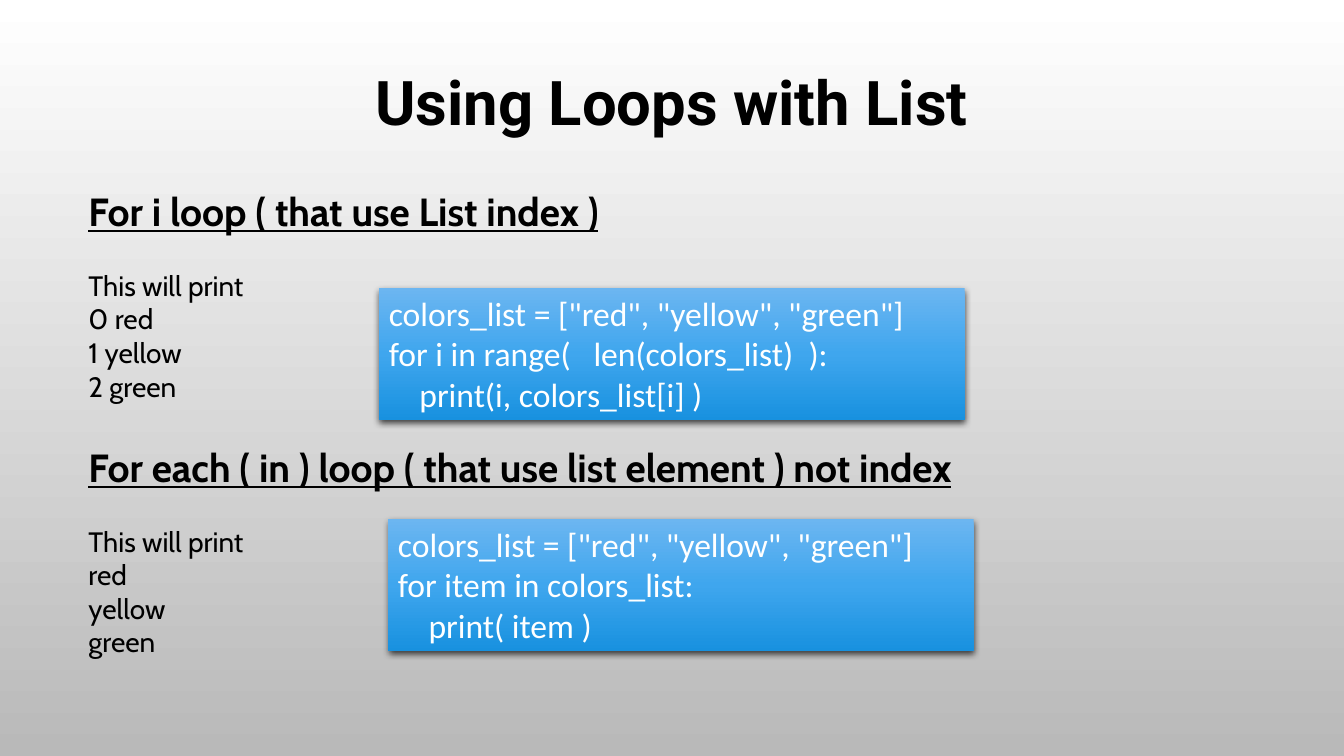
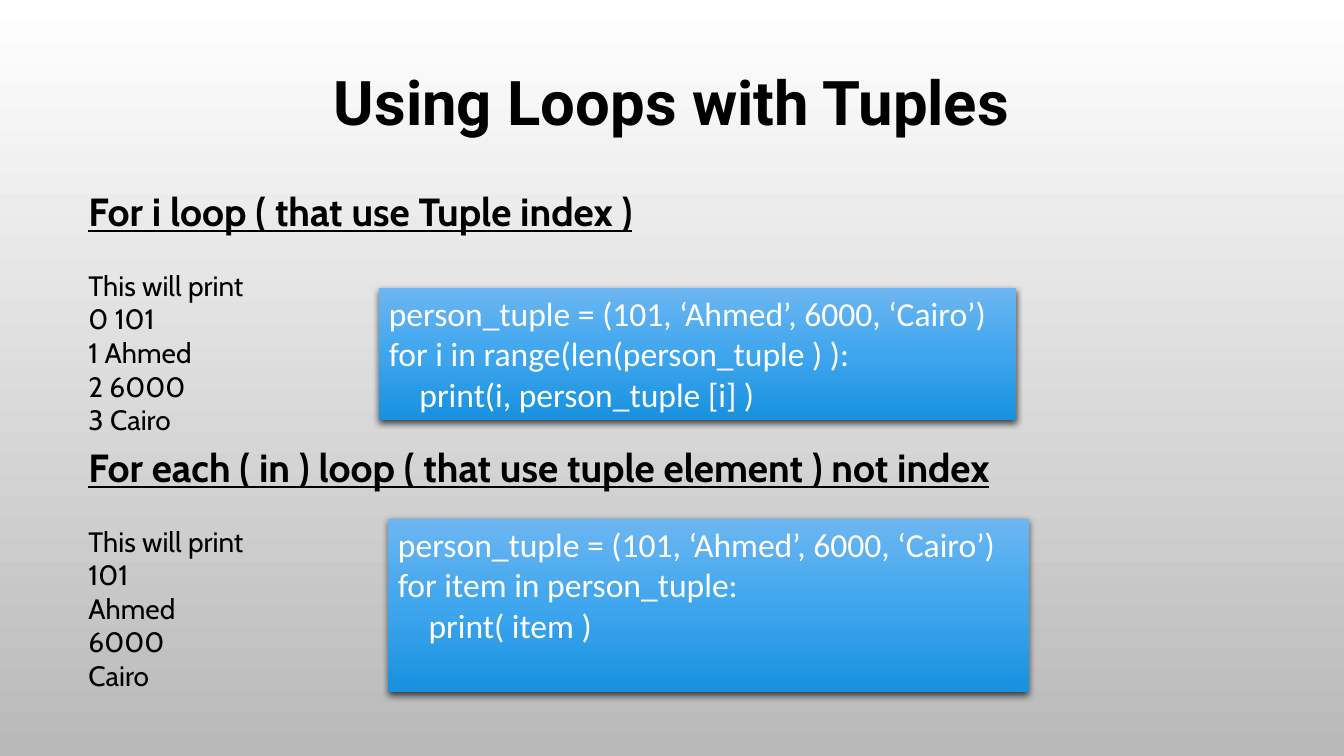
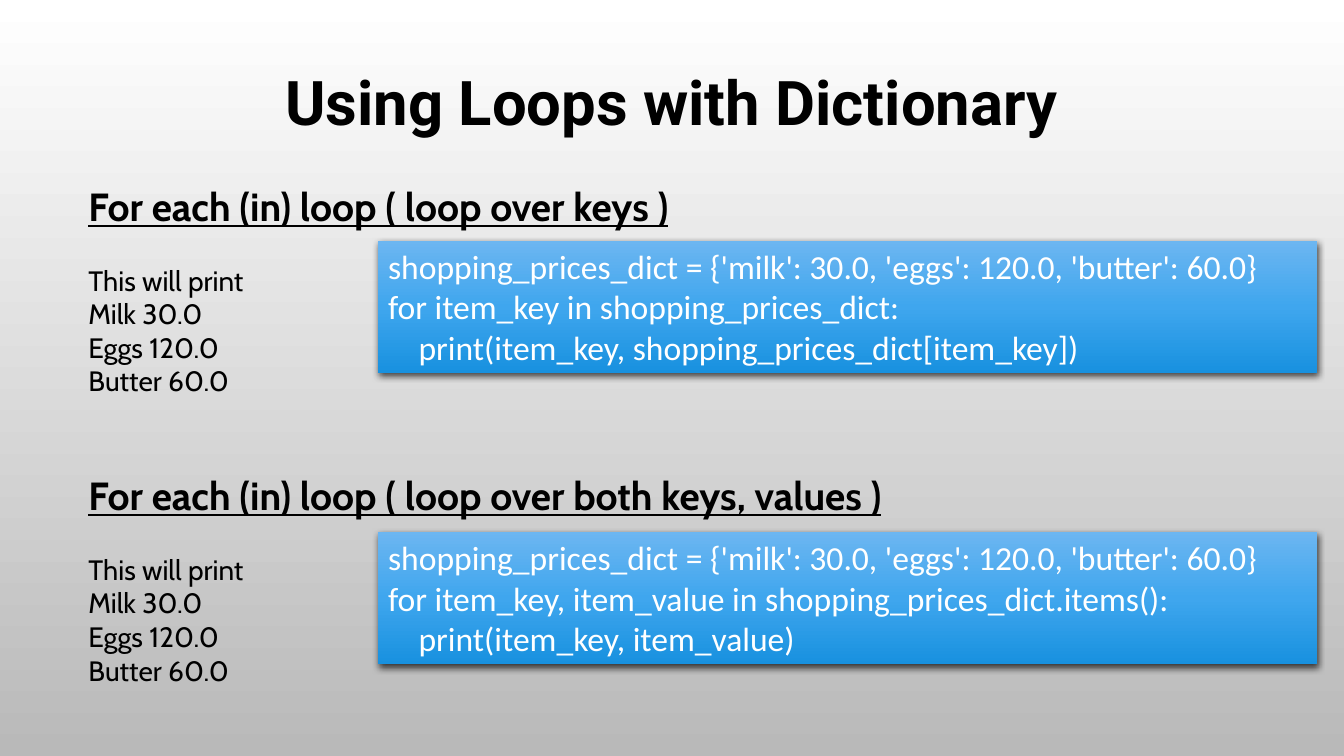
from copy import deepcopy

from lxml.etree import SubElement
from pptx import Presentation
from pptx.dml.color import RGBColor
from pptx.enum.shapes import MSO_SHAPE as Shape
from pptx.enum.text import MSO_ANCHOR as Anchor, PP_ALIGN as Align
from pptx.oxml.ns import qn
from pptx.util import Cm, Pt

# Colours
BLACK = RGBColor(0x00, 0x00, 0x00)
WHITE = RGBColor(0xFF, 0xFF, 0xFF)
GREY = RGBColor(0xB9, 0xB9, 0xB9)
LIGHT_BLUE = RGBColor(0x6C, 0xB6, 0xF1)
MID_BLUE = RGBColor(0x3F, 0xA6, 0xEE)
DEEP_BLUE = RGBColor(0x18, 0x91, 0xDF)

# Shared measures, in centimetres
TEXT_LEFT = 1.98
CODE_INDENT = 0.77
CODE_HEIGHT = 3.33


def write(frame, text, font="Cabin", size=20, color=BLACK, bold=False,
          underline=False, align=Align.LEFT, before=0, after=0,
          spacing=1.0, indent=0):
    """Add one formatted paragraph and return its run."""
    para = frame.paragraphs[0]
    if para.runs:
        para = frame.add_paragraph()
    para.alignment = align
    para.space_before, para.space_after = Pt(before), Pt(after)
    para.line_spacing = spacing
    if indent:
        para._p.get_or_add_pPr().set("marL", str(Cm(indent)))
    span = para.add_run()
    span.text = text
    span.font.name, span.font.size = font, Pt(size)
    span.font.bold, span.font.underline = bold, underline
    span.font.color.rgb = color
    return span


def fade_down(fill, top, bottom):
    """Fill with a gradient that runs from top to bottom."""
    fill.gradient()
    fill.gradient_angle = 270
    for stop, color in zip(fill.gradient_stops, (top, bottom)):
        stop.color.rgb = color


class LoopDeck:
    def __init__(self):
        self.deck = Presentation()
        self.deck.slide_width, self.deck.slide_height = Cm(33.87), Cm(19.05)
        fade_down(self.deck.slide_master.background.fill, WHITE, GREY)
        self.page = None

    def text_box(self, left, top, width, height):
        box = self.page.shapes.add_textbox(
            Cm(left), Cm(top), Cm(width), Cm(height))
        box.text_frame.word_wrap = True
        return box.text_frame

    def new_page(self, title):
        self.page = self.deck.slides.add_slide(self.deck.slide_layouts[6])
        frame = self.text_box(2.33, 0, 29.21, 3.58)
        frame.vertical_anchor = Anchor.BOTTOM
        span = write(frame, title, font="Roboto", size=44, bold=True,
                     align=Align.CENTER, before=10, spacing=0.8)
        # Thin white outline around the letters
        outline = SubElement(span.font._element, qn("a:ln"), w=str(Pt(0.75)))
        fill = SubElement(outline, qn("a:solidFill"))
        SubElement(fill, qn("a:srgbClr"), val=str(WHITE))
        span.font._element.insert(0, outline)

    def section(self, top, heading, output):
        frame = self.text_box(TEXT_LEFT, top, 29.92, 6.93)
        write(frame, heading, size=28, bold=True, underline=True, after=24)
        for line in ["This will print"] + output:
            write(frame, line)

    def code(self, left, top, width, lines, height=CODE_HEIGHT):
        box = self.page.shapes.add_shape(
            Shape.RECTANGLE, Cm(left), Cm(top), Cm(width), Cm(height))
        box.line.fill.background()
        # Three-stop gradient
        fade_down(box.fill, LIGHT_BLUE, DEEP_BLUE)
        first = box._element.spPr.find(".//" + qn("a:gs"))
        middle = deepcopy(first)
        middle.set("pos", "50000")
        first.addnext(middle)
        box.fill.gradient_stops[1].color.rgb = MID_BLUE
        # Soft shadow below
        box.shadow.inherit = False
        effects = box._element.spPr.find(qn("a:effectLst"))
        shadow = SubElement(effects, qn("a:outerShdw"), blurRad=str(Pt(5)),
                            dist=str(Pt(2)), dir="5400000", rotWithShape="0")
        color = SubElement(shadow, qn("a:srgbClr"), val=str(BLACK))
        SubElement(color, qn("a:alpha"), val="69000")
        # Code lines, the loop body indented
        frame = box.text_frame
        frame.word_wrap = True
        frame.vertical_anchor = Anchor.TOP
        for number, line in enumerate(lines):
            write(frame, line, font="Calibri", size=24, color=WHITE,
                  indent=CODE_INDENT if number == 2 else 0)


def main():
    show = LoopDeck()

    # Lists
    colors = 'colors_list = ["red", "yellow", "green"]'
    show.new_page("Using Loops with List")
    show.section(4.6, "For i loop ( that use List index )",
                 ["0 red", "1 yellow", "2 green"])
    show.code(9.55, 7.26, 14.76, [
        colors, "for i in range(   len(colors_list)  ):",
        "print(i, colors_list[i] )"])
    show.section(11.05,
                 "For each ( in ) loop ( that use list element ) not index",
                 ["red", "yellow", "green"])
    show.code(9.78, 13.08, 14.76, [
        colors, "for item in colors_list:", "print( item )"])

    # Tuples
    person = "person_tuple = (101, ‘Ahmed’, 6000, ‘Cairo’)"
    show.new_page("Using Loops with Tuples")
    show.section(4.6, "For i loop ( that use Tuple index )",
                 ["0 101", "1 Ahmed", "2 6000", "3 Cairo"])
    show.code(9.55, 7.26, 16.05, [
        person, "for i in range(len(person_tuple ) ):",
        "print(i, person_tuple [i] )"])
    show.section(11.05,
                 "For each ( in ) loop ( that use tuple element ) not index",
                 ["101", "Ahmed", "6000", "Cairo"])
    show.code(9.78, 13.08, 16.15, [
        person, "for item in person_tuple:", "print( item )"], height=4.37)

    # Dictionaries
    prices = ("shopping_prices_dict = "
              "{'milk': 30.0, 'eggs': 120.0, 'butter': 60.0}")
    output = ["Milk 30.0", "Eggs 120.0", "Butter 60.0"]
    show.new_page("Using Loops with Dictionary")
    show.section(4.47, "For each (in) loop ( loop over keys )", output)
    show.code(9.53, 6.07, 23.67, [
        prices, "for item_key in shopping_prices_dict:",
        "print(item_key, shopping_prices_dict[item_key])"])
    show.section(11.76, "For each (in) loop ( loop over both keys, values )",
                 output)
    show.code(9.53, 13.41, 23.67, [
        prices, "for item_key, item_value in shopping_prices_dict.items():",
        "print(item_key, item_value)"])

    show.deck.save("out.pptx")


if __name__ == "__main__":
    main()
